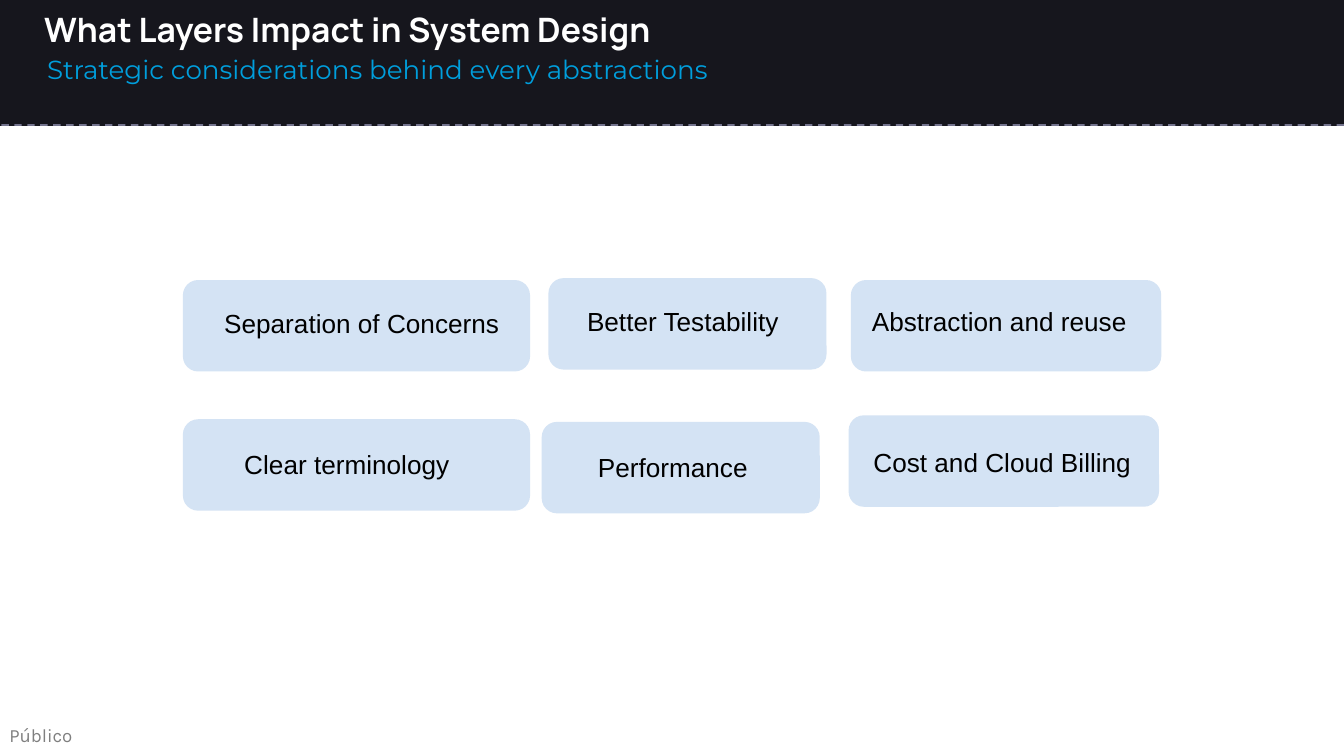
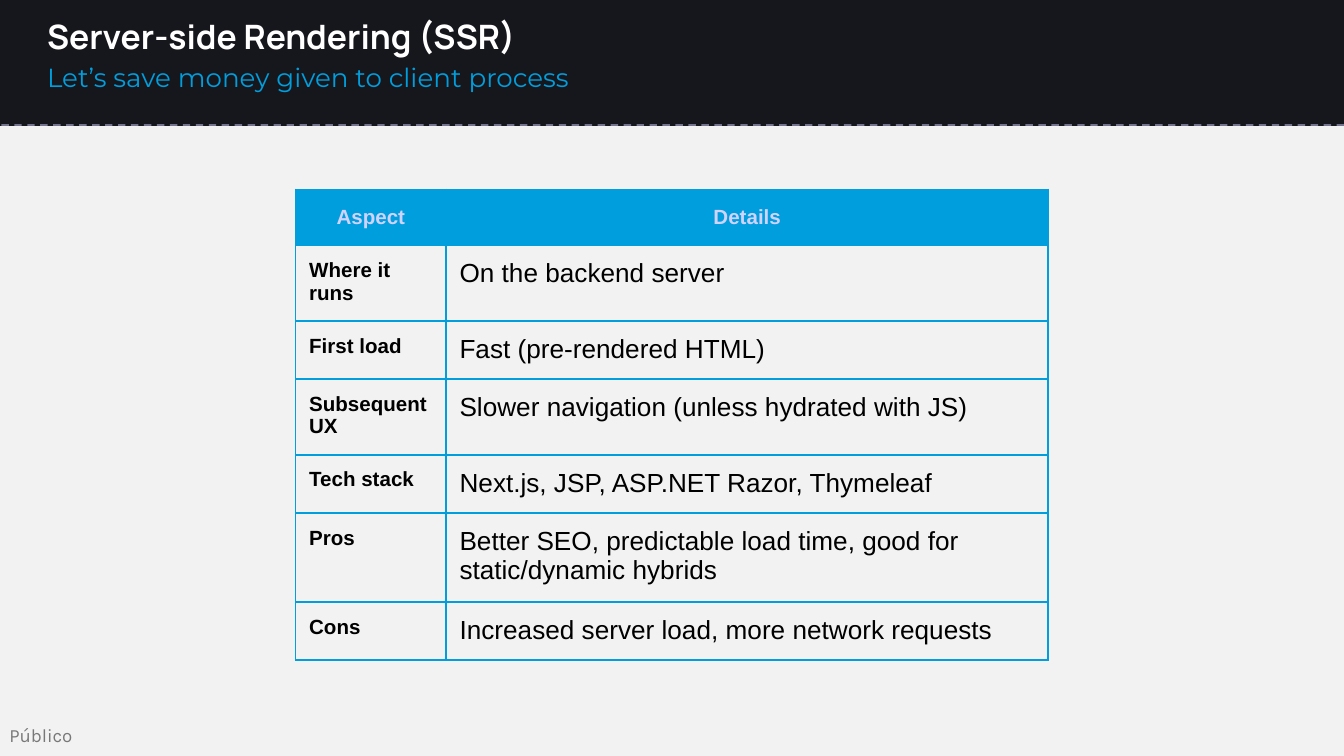
import pptx
import pptx.dml.color
import pptx.enum.dml
import pptx.enum.shapes
import pptx.enum.text
import pptx.oxml
import pptx.oxml.ns
import pptx.util
from lxml import etree

Pt = pptx.util.Pt
qn = pptx.oxml.ns.qn
ALIGN = pptx.enum.text.PP_ALIGN
SHAPE = pptx.enum.shapes.MSO_SHAPE

WIDTH, HEIGHT = 720, 405
BLACK, WHITE, INK = "000000", "FFFFFF", "16161D"
BLUE, LILAC, CARD, GREY = "009EDC", "D2D2FF", "D4E3F4", "F2F2F2"


def rgb(value):
    return pptx.dml.color.RGBColor.from_string(value)


def box(*lengths):
    return [Pt(v) for v in lengths]


def set_alpha(element, percent):
    for clr in element.iter(qn("a:srgbClr")):
        etree.SubElement(clr, qn("a:alpha")).set("val", str(percent * 1000))


def write(tf, text, size=14, font="Arial", color=BLACK, bold=False,
          align=ALIGN.LEFT, spacing=1.0, after=0, bullet=True):
    p = tf.paragraphs[0]
    if not bullet:
        pPr = p._p.get_or_add_pPr()
        pPr.set("marL", "0")
        pPr.set("indent", "0")
        etree.SubElement(pPr, qn("a:buNone"))
    p.alignment = align
    p.line_spacing = spacing
    p.space_before, p.space_after = Pt(0), Pt(after)
    r = p.add_run()
    r.text = text
    r.font.size, r.font.name, r.font.bold = Pt(size), font, bold
    r.font.color.rgb = rgb(color)


def set_insets(frame, x, y):
    frame.margin_left = frame.margin_right = Pt(x)
    frame.margin_top = frame.margin_bottom = Pt(y)


def set_borders(cell, color, width):
    tcPr = cell._tc.get_or_add_tcPr()
    for i, side in enumerate(("a:lnL", "a:lnR", "a:lnT", "a:lnB")):
        ln = etree.Element(qn(side), w=str(Pt(width)))
        fill = etree.SubElement(ln, qn("a:solidFill"))
        etree.SubElement(fill, qn("a:srgbClr"), val=color)
        tcPr.insert(i, ln)


class Deck:
    def __init__(self):
        self.prs = pptx.Presentation()
        self.prs.slide_width, self.prs.slide_height = box(WIDTH, HEIGHT)
        self.s = None

    def slide(self, background, title, title_at, subtitle, subtitle_at):
        self.s = self.prs.slides.add_slide(self.prs.slide_layouts[1])
        fill = self.s.background.fill
        fill.solid()
        fill.fore_color.rgb = rgb(background)
        footer = self.text("Público", 5, 388, 34.6, 12.2, inset=0,
                           size=10, font="Karla")
        set_alpha(footer.element, 50)
        self.rect(0, 0, WIDTH, 67.5, INK, SHAPE.RECTANGLE)
        self.dashed_line(WIDTH, 67, 0, 67)
        self.heading(0, title, title_at, size=18, font="Manrope",
                     color=WHITE, bold=True)
        self.heading(1, subtitle, subtitle_at, font="Montserrat",
                     color=BLUE, bullet=False)

    def heading(self, idx, text, at, **style):
        sp = self.s.placeholders[idx]
        sp.left, sp.top, sp.width, sp.height = box(*at)
        tf = sp.text_frame
        tf.word_wrap = True
        tf.auto_size = pptx.enum.text.MSO_AUTO_SIZE.NONE
        tf.vertical_anchor = pptx.enum.text.MSO_ANCHOR.TOP
        set_insets(tf, 5, 2.9)
        write(tf, text, spacing=1.15, after=12, **style)
        self.s.shapes.element.append(sp.element)

    def rect(self, x, y, w, h, color, kind=SHAPE.ROUNDED_RECTANGLE):
        sp = self.s.shapes.add_shape(kind, *box(x, y, w, h))
        sp.shadow.inherit = False
        sp.fill.solid()
        sp.fill.fore_color.rgb = rgb(color)
        sp.line.fill.background()

    def dashed_line(self, x1, y1, x2, y2):
        line = self.s.shapes.add_connector(
            pptx.enum.shapes.MSO_CONNECTOR.STRAIGHT, *box(x1, y1, x2, y2))
        line.line.color.rgb = rgb(LILAC)
        line.line.width = Pt(1)
        line.line.dash_style = pptx.enum.dml.MSO_LINE.DASH
        set_alpha(line.element, 50)
        etree.SubElement(line.element.spPr, qn("a:effectLst"))

    def text(self, text, x, y, w, h, inset=7.2, **style):
        sp = self.s.shapes.add_textbox(*box(x, y, w, h))
        tf = sp.text_frame
        tf.word_wrap = True
        tf.auto_size = pptx.enum.text.MSO_AUTO_SIZE.SHAPE_TO_FIT_TEXT
        set_insets(tf, inset, inset)
        write(tf, text, **style)
        return sp

    def table(self, x, y, widths, heights, rows):
        frame = self.s.shapes.add_table(
            len(rows), len(widths),
            *box(x, y, sum(widths), sum(heights)))
        table = frame.table
        table.horz_banding = table.first_row = False
        for col, width in zip(table.columns, widths):
            col.width = Pt(width)
        for i, (row, height) in enumerate(zip(rows, heights)):
            table.rows[i].height = Pt(height)
            for j, text in enumerate(row):
                cell = table.cell(i, j)
                set_insets(cell, 7.2, 7.2)
                if i == 0:
                    cell.fill.solid()
                    cell.fill.fore_color.rgb = rgb(BLUE)
                    style = dict(size=11, bold=True, color=LILAC,
                                 align=ALIGN.CENTER, spacing=1.15)
                else:
                    cell.fill.background()
                    style = dict(size=11, bold=True) if j == 0 else {}
                write(cell.text_frame, text, **style)
                set_borders(cell, BLUE, 1)


def layers_slide(deck):
    deck.slide(WHITE,
               "What Layers Impact in System Design", (18.7, -1.4, 425, 54.7),
               "Strategic considerations behind every abstractions",
               (20.2, 23, 500, 49))
    cards = [
        ("Separation of Concerns", (98, 150, 186), (113, 157.7, 181.5)),
        ("Better Testability", (293.8, 149, 149), (307.4, 156.2, 135.4)),
        ("Abstraction and reuse", (455.8, 150, 166.3), (460, 156.2, 162)),
        ("Clear terminology", (98, 224.6, 186), (123.8, 233.3, 160.6)),
        ("Performance", (290.2, 226, 149), (313.2, 234.7, 113.8)),
        ("Cost and Cloud Billing", (454.6, 222.5, 166.3), (460.8, 231.8, 154.8)),
    ]
    for _, (x, y, w), _ in cards:
        deck.rect(x, y, w, 49, CARD)
    for label, _, (x, y, w) in cards:
        deck.text(label, x, y, w, 31.7)


def ssr_slide(deck):
    deck.slide(GREY,
               "Server-side Rendering (SSR)", (20.2, 2.2, 425, 54.7),
               "Let’s save money given to client process",
               (20.2, 27.4, 356.4, 49))
    rows = [
        ("Aspect", "Details"),
        ("Where it runs", "On the backend server"),
        ("First load", "Fast (pre-rendered HTML)"),
        ("Subsequent UX", "Slower navigation (unless hydrated with JS)"),
        ("Tech stack", "Next.js, JSP, ASP.NET Razor, Thymeleaf"),
        ("Pros", "Better SEO, predictable load time, good for "
                 "static/dynamic hybrids"),
        ("Cons", "Increased server load, more network requests"),
    ]
    deck.table(158.4, 101.5, (80.6, 322.6),
               (30, 40.6, 31, 40.6, 31.3, 47.7, 31), rows)


def main():
    deck = Deck()
    layers_slide(deck)
    ssr_slide(deck)
    deck.prs.save("out.pptx")


if __name__ == "__main__":
    main()
